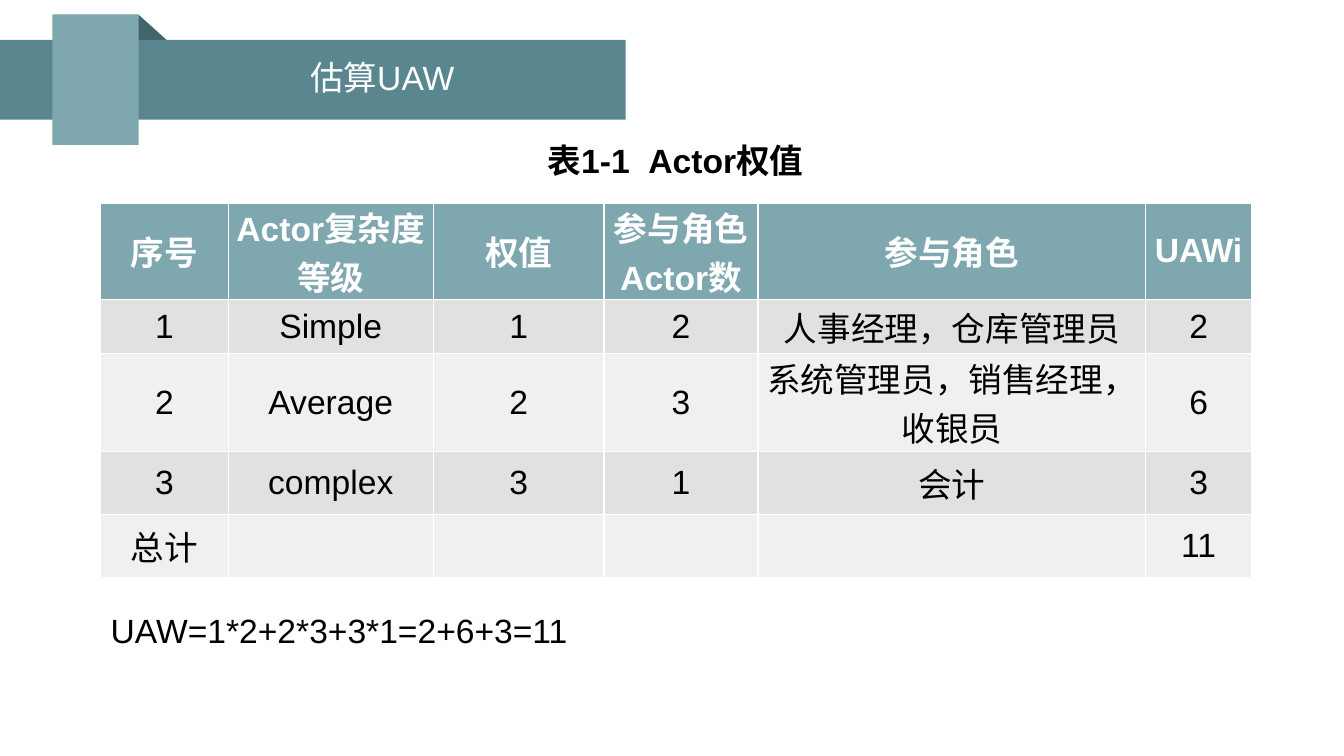
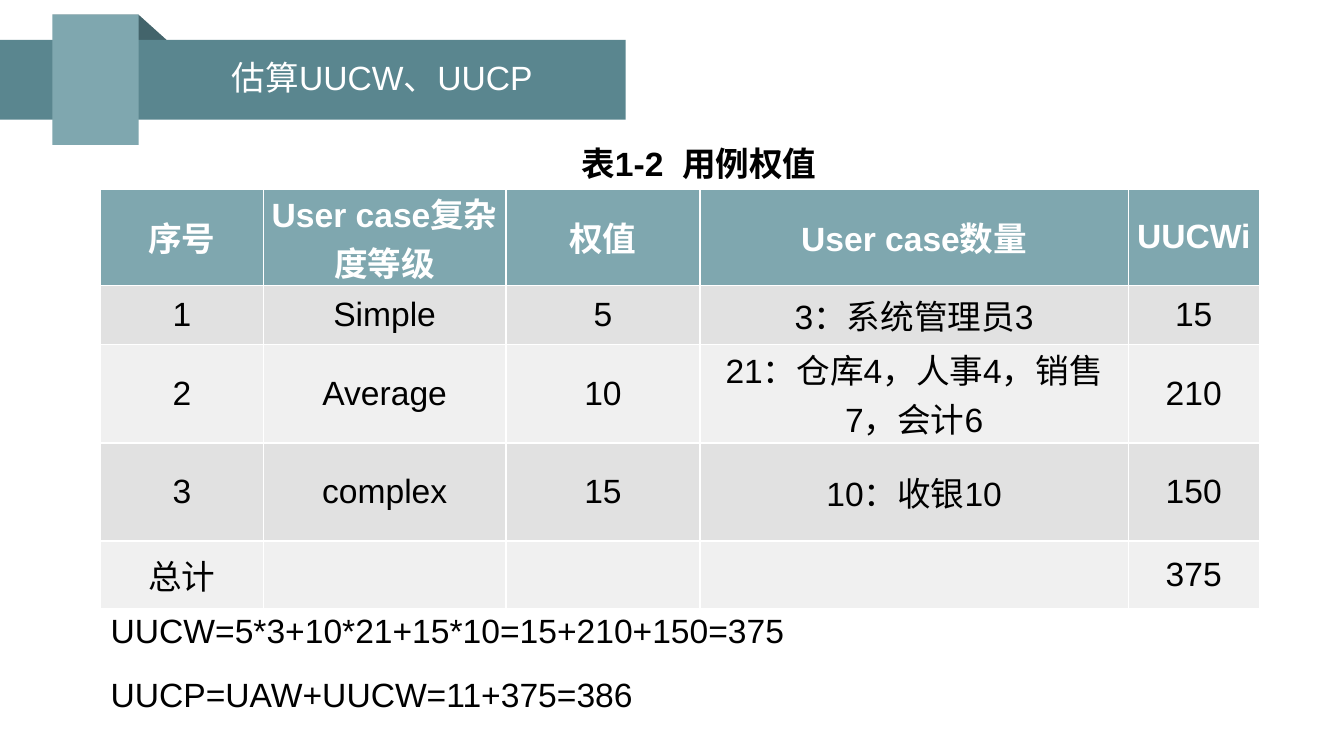
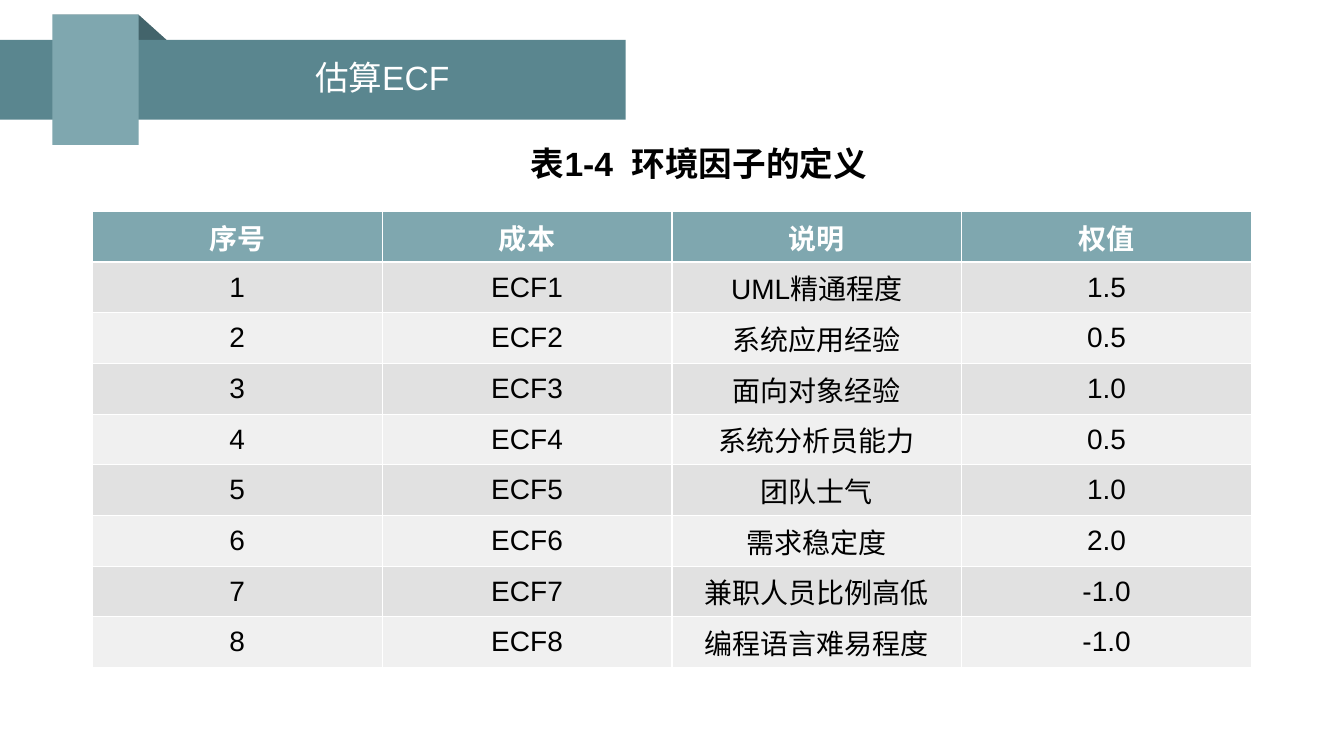
from pptx import Presentation
from pptx.dml.color import RGBColor
from pptx.enum.shapes import MSO_SHAPE
from pptx.enum.text import MSO_ANCHOR, PP_ALIGN
from pptx.util import Pt

RECT = MSO_SHAPE.RECTANGLE
TOP, MIDDLE = MSO_ANCHOR.TOP, MSO_ANCHOR.MIDDLE
LEFT, CENTER = PP_ALIGN.LEFT, PP_ALIGN.CENTER

WHITE = RGBColor(0xFF, 0xFF, 0xFF)
BLACK = RGBColor(0x00, 0x00, 0x00)
TEAL = RGBColor(0x7F, 0xA7, 0xAF)
BAND = RGBColor(0x5A, 0x86, 0x8F)
FOLD = RGBColor(0x43, 0x64, 0x6B)
ROW_DARK = RGBColor(0xE1, 0xE1, 0xE1)
ROW_LIGHT = RGBColor(0xF0, 0xF0, 0xF0)
FONT = "Arial"
LEFT_EDGE = 72

ACTOR_ROWS = [
    ["序号", "Actor复杂度等级", "权值", "参与角色Actor数", "参与角色", "UAWi"],
    ["1", "Simple", "1", "2", "人事经理，仓库管理员", "2"],
    ["2", "Average", "2", "3", "系统管理员，销售经理，收银员", "6"],
    ["3", "complex", "3", "1", "会计", "3"],
    ["总计", "", "", "", "", "11"],
]
USE_CASE_ROWS = [
    ["序号", "User case复杂度等级", "权值", "User case数量", "UUCWi"],
    ["1", "Simple", "5", "3：系统管理员3", "15"],
    ["2", "Average", "10", "21：仓库4，人事4，销售7，会计6", "210"],
    ["3", "complex", "15", "10：收银10", "150"],
    ["总计", "", "", "", "375"],
]
FACTORS = [
    ("UML精通程度", "1.5"),
    ("系统应用经验", "0.5"),
    ("面向对象经验", "1.0"),
    ("系统分析员能力", "0.5"),
    ("团队士气", "1.0"),
    ("需求稳定度", "2.0"),
    ("兼职人员比例高低", "-1.0"),
    ("编程语言难易程度", "-1.0"),
]
FACTOR_ROWS = [["序号", "成本", "说明", "权值"]] + [
    [str(i), f"ECF{i}", name, weight]
    for i, (name, weight) in enumerate(FACTORS, 1)
]


def paint(shape, color):
    shape.fill.solid()
    shape.fill.fore_color.rgb = color
    shape.line.fill.background()
    shape.shadow.inherit = False


def write(p, text, size=24, color=BLACK, bold=False, align=CENTER):
    p.alignment = align
    r = p.add_run()
    r.text = text
    r.font.name = FONT
    r.font.size = Pt(size)
    r.font.bold = bold
    r.font.color.rgb = color


def add_text(s, text, x, y, w, h, anchor=TOP, **style):
    tf = s.shapes.add_textbox(Pt(x), Pt(y), Pt(w), Pt(h)).text_frame
    tf.word_wrap = True
    tf.vertical_anchor = anchor
    write(tf.paragraphs[0], text, **style)
    return tf


def add_ribbon(s):
    fold = s.shapes.build_freeform(Pt(37.5), Pt(10.5))
    fold.add_line_segments([(Pt(99), Pt(10.5)), (Pt(159), Pt(64.5))])
    paint(fold.convert_to_shape(), FOLD)
    for x, y, w, h, color in [(0, 28.5, 447, 57, BAND),
                              (37.5, 10.5, 61.5, 93, TEAL)]:
        paint(s.shapes.add_shape(RECT, Pt(x), Pt(y), Pt(w), Pt(h)), color)


def new_slide(prs, title, caption, caption_box):
    """Add a slide with the ribbon, its title and the table caption."""
    s = prs.slides.add_slide(prs.slide_layouts[6])
    add_ribbon(s)
    tf = add_text(s, title, 99, 28.5, 348, 57, MIDDLE, color=WHITE)
    tf.paragraphs[0].line_spacing = 0.9
    add_text(s, caption, *caption_box, bold=True)
    return s


def add_grid(s, rows, x, y, widths, heights, size=24, inset=0):
    """Add a table with a teal header row and alternating grey rows."""
    table = s.shapes.add_table(len(rows), len(widths), Pt(x), Pt(y),
                               Pt(sum(widths)), Pt(sum(heights))).table
    for column, width in zip(table.columns, widths):
        column.width = Pt(width)
    for i, (row, height) in enumerate(zip(rows, heights)):
        table.rows[i].height = Pt(height)
        header = i == 0
        fill = TEAL if header else ROW_DARK if i % 2 else ROW_LIGHT
        for j, text in enumerate(row):
            cell = table.cell(i, j)
            cell.fill.solid()
            cell.fill.fore_color.rgb = fill
            cell.vertical_anchor = MIDDLE
            cell.margin_left = cell.margin_right = Pt(2 * inset)
            cell.margin_top = cell.margin_bottom = Pt(inset)
            if text:
                write(cell.text_frame.paragraphs[0], text, size,
                      WHITE if header else BLACK, header)


def add_formula(s, text, y):
    add_text(s, text, LEFT_EDGE, y, 670, 36, align=LEFT)


def main():
    prs = Presentation()
    prs.slide_width, prs.slide_height = Pt(960), Pt(540)
    right_caption = (357, 98.5, 284.5, 36)

    s = new_slide(prs, "估算UAW", "表1-1  Actor权值", (310, 96.5, 345, 36))
    add_grid(s, ACTOR_ROWS, LEFT_EDGE, 145,
             [91, 146.5, 122, 110, 277, 75.5], [69, 38.5, 70, 45, 45])
    add_formula(s, "UAW=1*2+2*3+3*1=2+6+3=11", 432)

    s = new_slide(prs, "估算UUCW、UUCP", "表1-2  用例权值", right_caption)
    add_grid(s, USE_CASE_ROWS, LEFT_EDGE, 135,
             [116, 173.5, 138.5, 306, 93.5], [69, 42, 70.5, 70, 48.5])
    add_formula(s, "UUCW=5*3+10*21+15*10=15+210+150=375", 432)
    add_formula(s, "UUCP=UAW+UUCW=11+375=386", 478)

    s = new_slide(prs, "估算ECF", "表1-4  环境因子的定义", right_caption)
    add_grid(s, FACTOR_ROWS, 66, 151, [207] * 4, [36.2] * len(FACTOR_ROWS),
             size=20, inset=3.6)

    prs.save("out.pptx")


if __name__ == "__main__":
    main()
